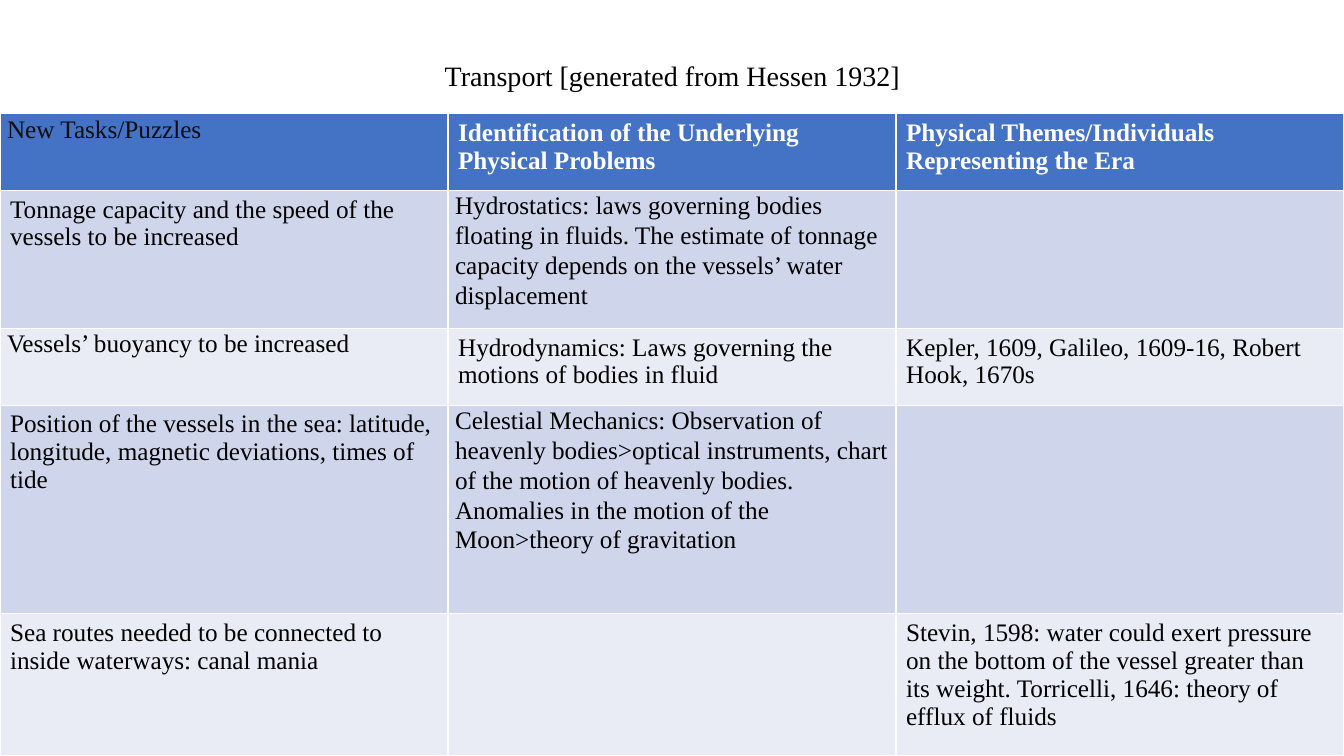
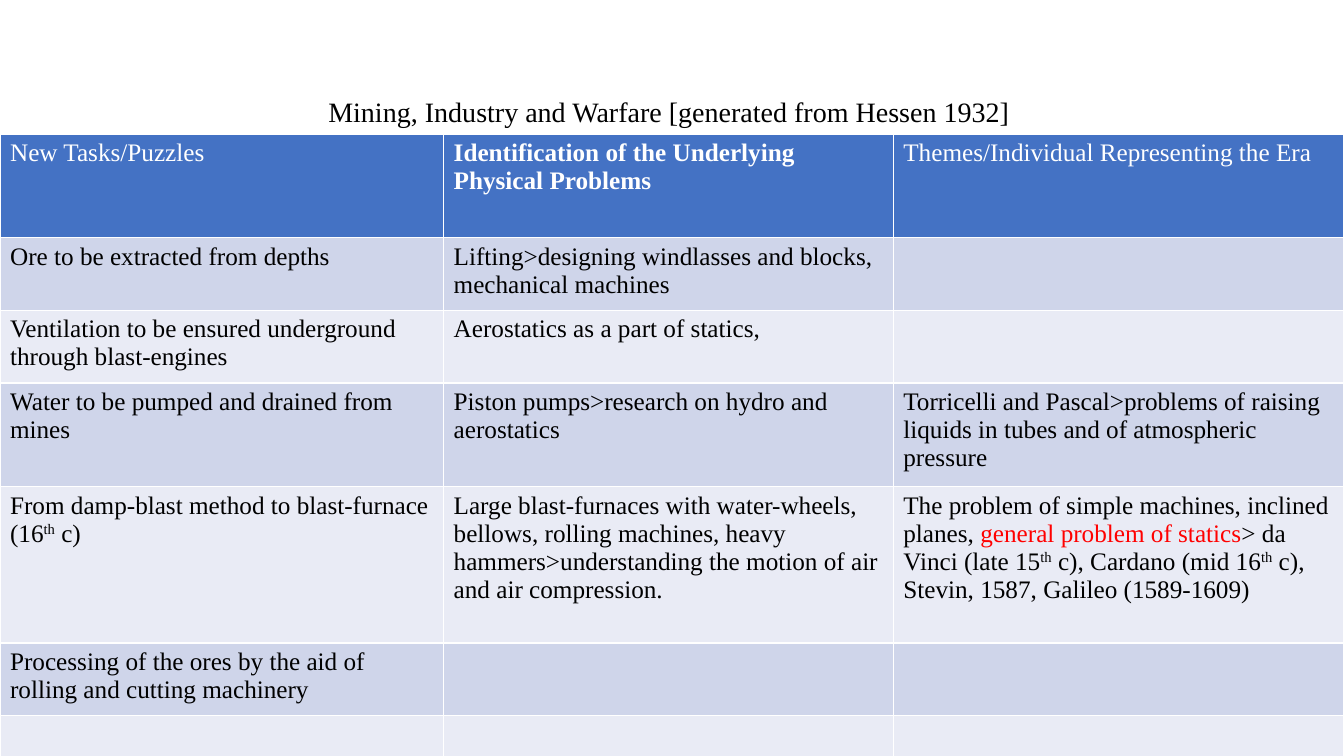
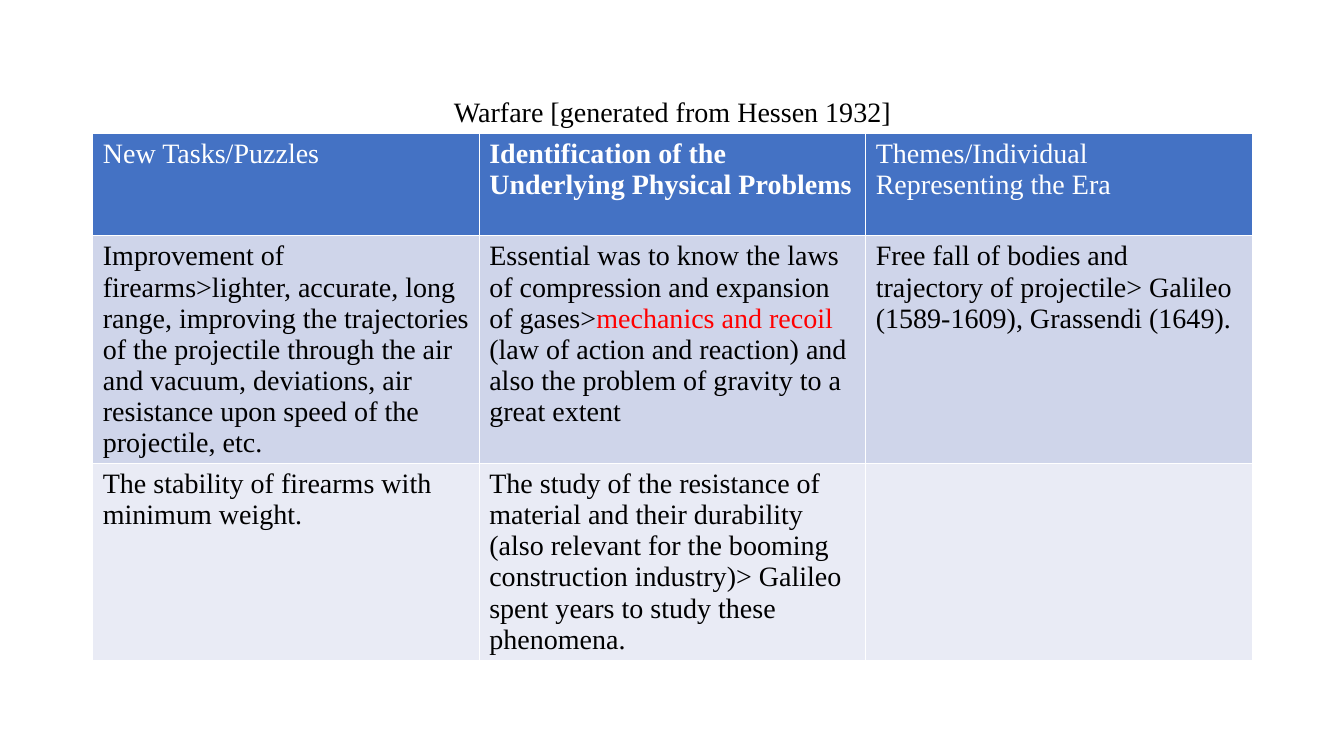
"""Build three slides of tables linking early modern tasks to physical problems."""
from dataclasses import dataclass

from pptx import Presentation
from pptx.dml.color import RGBColor
from pptx.enum import text
from pptx.util import Inches, Pt


@dataclass(frozen=True)
class Theme:
    font: str = "Times New Roman"
    title_size: int = 20
    ink: str = "000000"
    soft_ink: str = "0D0D0D"
    accent: str = "FF0000"
    header_ink: str = "FFFFFF"
    header_fill: str = "4472C4"
    bands: tuple = ("CFD5EA", "E9EBF5")


THEME = Theme()
RED, SUPER, BOLD, DARK = "red", "super", "bold", "dark"
TH = ("th", SUPER)
PROBLEMS = ("Identification of the Underlying Physical Problems", BOLD)
SLIDE_WIDTH = 13.33
TITLE_WIDTH = 11.5

tables = [
    {
        "title": "Transport [generated from Hessen 1932]",
        "title_height": 0.73,
        "left": 0, "top": 1.13, "size": 18,
        "columns": [SLIDE_WIDTH / 3] * 3,
        "rows": [0.76, 1.37, 0.76, 2.07, 1.41],
        "tight": {(0, 0), (1, 1), (2, 0), (3, 1)},
        "cells": [
            [[("New Tasks/Puzzles", DARK)], [PROBLEMS],
             [("Physical Themes/Individuals Representing the Era", BOLD)]],
            ["Tonnage capacity and the speed of the vessels to be increased",
             "Hydrostatics: laws governing bodies floating in fluids. The estimate of "
             "tonnage capacity depends on the vessels’ water displacement",
             ""],
            ["Vessels’ buoyancy to be increased",
             "Hydrodynamics: Laws governing the motions of bodies in fluid",
             "Kepler, 1609, Galileo, 1609-16, Robert Hook, 1670s"],
            ["Position of the vessels in the sea: latitude, longitude, magnetic "
             "deviations, times of tide",
             "Celestial Mechanics: Observation of heavenly bodies>optical instruments, "
             "chart of the motion of heavenly bodies. Anomalies in the motion of the "
             "Moon>theory of gravitation",
             ""],
            ["Sea routes needed to be connected to inside waterways: canal mania",
             "",
             "Stevin, 1598: water could exert pressure on the bottom of the vessel "
             "greater than its weight. Torricelli, 1646: theory of efflux of fluids"],
        ],
    },
    {
        "title": "Mining, Industry and Warfare [generated from Hessen 1932] ",
        "title_height": 1.45,
        "left": 0, "top": 1.33, "size": 18,
        "columns": [4.4, 4.46, 4.47],
        "rows": [1.03, 0.72, 0.72, 1.03, 1.55, 0.72, 0.41],
        "tight": set(),
        "cells": [
            ["New Tasks/Puzzles", [PROBLEMS], "Themes/Individual Representing the Era"],
            ["Ore to be extracted from depths",
             "Lifting>designing windlasses and blocks, mechanical machines",
             ""],
            ["Ventilation to be ensured underground through blast-engines",
             "Aerostatics as a part of statics,",
             ""],
            ["Water to be pumped and drained from mines",
             "Piston pumps>research on hydro and aerostatics",
             "Torricelli and Pascal>problems of raising liquids in tubes and of "
             "atmospheric pressure"],
            [[("From damp-blast method to blast-furnace (16", None), TH, (" c)", None)],
             "Large blast-furnaces with water-wheels, bellows, rolling machines, heavy "
             "hammers>understanding the motion of air and air compression.",
             [("The problem of simple machines, inclined planes, ", None),
              ("general problem of statics", RED),
              ("> da Vinci (late 15", None), TH,
              (" c), Cardano (mid 16", None), TH,
              (" c), Stevin, 1587, Galileo (1589-1609)", None)]],
            ["Processing of the ores by the aid of rolling and cutting machinery", "", ""],
            ["", "", ""],
        ],
    },
    {
        "title": "Warfare [generated from Hessen 1932]",
        "title_height": 1.45,
        "left": 0.92, "top": 1.32, "size": 20,
        "columns": [TITLE_WIDTH / 3] * 3,
        "rows": [1.02, 2.26, 1.94],
        "tight": set(),
        "cells": [
            ["New Tasks/Puzzles", [PROBLEMS], "Themes/Individual Representing the Era"],
            ["Improvement of firearms>lighter, accurate, long range, improving the "
             "trajectories of the projectile through the air and vacuum, deviations, air "
             "resistance upon speed of the projectile, etc.",
             [("Essential was to know the laws of compression and expansion of gases>", None),
              ("mechanics and recoil ", RED),
              ("(law of action and reaction) and also the problem of gravity to a great "
               "extent", None)],
             "Free fall of bodies and trajectory of projectile> Galileo (1589-1609), "
             "Grassendi (1649)."],
            ["The stability of firearms with minimum weight.",
             "The study of the resistance of material and their durability (also relevant "
             "for the booming construction industry)> Galileo spent years to study these "
             "phenomena.",
             ""],
        ],
    },
]


def style_font(font, size, color, bold=False):
    font.name = THEME.font
    font.size = Pt(size)
    font.bold = bold
    font.color.rgb = RGBColor.from_string(color)


def fill_cell(cell, content, size, base_color, fill, tight):
    cell.fill.solid()
    cell.fill.fore_color.rgb = RGBColor.from_string(fill)
    para = cell.text_frame.paragraphs[0]
    if tight:
        cell.margin_left = cell.margin_right = Inches(0.07)
        cell.margin_top = cell.margin_bottom = 0
        para.line_spacing = 1.07
    if not content:
        return
    spans = [(content, None)] if isinstance(content, str) else content
    for words, kind in spans:
        span = para.add_run()
        span.text = words
        color = {RED: THEME.accent, DARK: THEME.soft_ink}.get(kind, base_color)
        style_font(span.font, size, color, kind == BOLD)
        if kind == SUPER:
            span._r.get_or_add_rPr().set("baseline", "30000")


deck = Presentation()
deck.slide_width = Inches(SLIDE_WIDTH)
deck.slide_height = Inches(7.5)
title_only = deck.slide_layouts[5]

for entry in tables:
    page = deck.slides.add_slide(title_only)
    title = page.shapes.title
    title.left, title.top = Inches(0.92), Inches(0.4)
    title.width, title.height = Inches(TITLE_WIDTH), Inches(entry["title_height"])
    title.text_frame.text = entry["title"]
    title.text_frame.auto_size = text.MSO_AUTO_SIZE.NONE
    title.text_frame.vertical_anchor = text.MSO_ANCHOR.MIDDLE
    heading = title.text_frame.paragraphs[0]
    heading.alignment = text.PP_ALIGN.CENTER
    heading.line_spacing = 0.9
    style_font(heading.runs[0].font, THEME.title_size, THEME.ink)

    columns, rows = entry["columns"], entry["rows"]
    table = page.shapes.add_table(
        len(rows), len(columns), Inches(entry["left"]), Inches(entry["top"]),
        Inches(sum(columns)), Inches(sum(rows))).table
    for column, width in zip(table.columns, columns):
        column.width = Inches(width)
    for r, height in enumerate(rows):
        table.rows[r].height = Inches(height)
        color = THEME.ink if r else THEME.header_ink
        fill = THEME.bands[(r - 1) % 2] if r else THEME.header_fill
        for c, content in enumerate(entry["cells"][r]):
            fill_cell(table.cell(r, c), content, entry["size"], color, fill,
                      (r, c) in entry["tight"])

deck.save("out.pptx")
